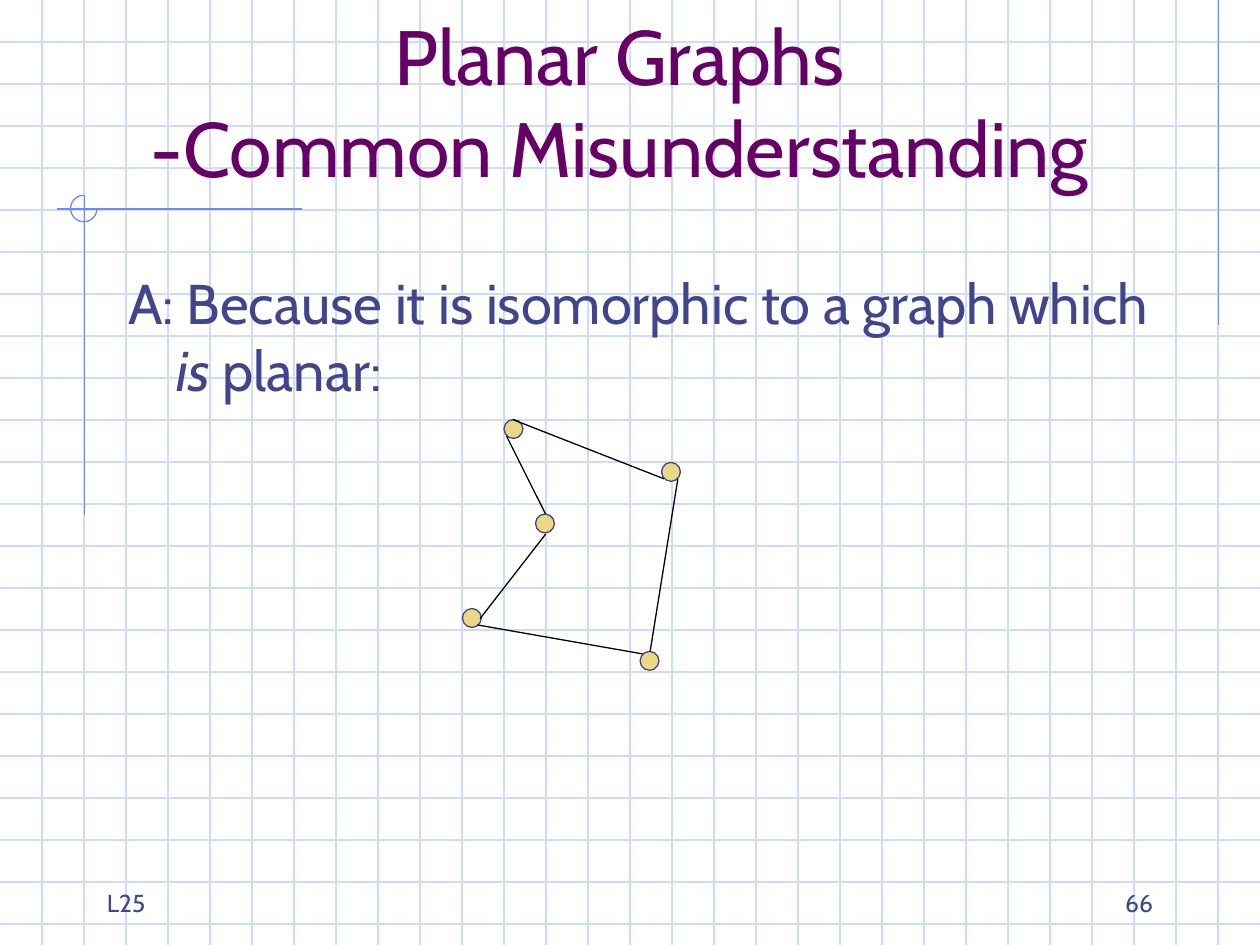
from dataclasses import dataclass

from lxml import etree
from pptx import Presentation
from pptx.dml.color import RGBColor as RGB
from pptx.enum.shapes import MSO_CONNECTOR as CONN, MSO_SHAPE as SHAPE
from pptx.enum.text import MSO_ANCHOR as ANCHOR, PP_ALIGN as ALIGN
from pptx.oxml.ns import qn
from pptx.util import Inches, Pt


@dataclass(frozen=True)
class Theme:
    font: str = "Cabin"
    title: str = "660066"
    ink: str = "40458C"
    grid: str = "CFDBFD"
    accent: str = "6F89F7"
    node: str = "ECD882"
    edge: str = "000000"
    title_size: int = 44
    body_size: int = 32
    footer_size: int = 14
    line_width: float = 0.75


class SlideBuilder:
    def __init__(self, slide, theme):
        self.s, self.theme = slide, theme

    def outline(self, sp, color):
        sp.line.color.rgb = RGB.from_string(color)
        sp.line.width = Pt(self.theme.line_width)

    def line(self, x1, y1, x2, y2, color):
        ends = [Inches(v) for v in (x1, y1, x2, y2)]
        sp = self.s.shapes.add_connector(CONN.STRAIGHT, *ends)
        self.outline(sp, color)
        etree.SubElement(sp._element.spPr, qn("a:effectLst"))

    def shape(self, kind, x, y, size, color, fill=None):
        sp = self.s.shapes.add_shape(kind, Inches(x), Inches(y), Inches(size), Inches(size))
        sp.shadow.inherit = False
        self.outline(sp, color)
        if fill:
            sp.fill.solid()
            sp.fill.fore_color.rgb = RGB.from_string(fill)
        else:
            sp.fill.background()
        return sp

    def text(self, box, lines, size, color, align=ALIGN.LEFT, anchor=ANCHOR.BOTTOM, hang=0):
        """Each line is a list of (text, format) runs; lines share one paragraph."""
        tf = self.s.shapes.add_textbox(*[Inches(v) for v in box]).text_frame
        tf.word_wrap = True
        tf.vertical_anchor = anchor
        p = tf.paragraphs[0]
        p.alignment = align
        if hang:
            pPr = p._p.get_or_add_pPr()
            pPr.set("marL", str(Inches(hang)))
            pPr.set("indent", str(-Inches(hang)))
        for i, runs in enumerate(lines):
            if i:
                p.add_line_break()
            for words, fmt in runs:
                r = p.add_run()
                r.text = words
                r.font.color.rgb = RGB.from_string(color)
                base = {"name": self.theme.font, "size": Pt(size)}
                for key, value in {**base, **fmt}.items():
                    setattr(r.font, key, value)


def main():
    prs = Presentation()
    width, height = 10, 7.5
    prs.slide_width, prs.slide_height = Inches(width), Inches(height)
    t = Theme()
    b = SlideBuilder(prs.slides.add_slide(prs.slide_layouts[6]), t)

    # Graph paper, three squares to the inch
    for i in range(1, 23):
        b.line(0, i / 3, width, i / 3, t.grid)
    for i in range(1, 30):
        b.line(i / 3, 0, i / 3, height, t.grid)

    # Accent lines and three-quarter circle
    b.line(9.67, 0, 9.67, 2.58, t.accent)
    b.line(2.4, 1.66, 0.45, 1.66, t.accent)
    b.line(0.67, 1.55, 0.67, 4.09, t.accent)
    arc = b.shape(SHAPE.ARC, 0.56, 1.55, 0.21, t.accent)
    arc.adjustments[0], arc.adjustments[1] = 0, 162  # 0 to 270 degrees

    # Title and answer
    b.text((0.67, 0.33, 8.5, 1.25),
           [[("Planar Graphs", {})], [("-Common Misunderstanding", {})]],
           t.title_size, t.title, align=ALIGN.CENTER)
    b.text((0.92, 2.08, 8.5, 4.5),
           [[("A: Because it is isomorphic to a graph which ", {}),
             ("is", {"italic": True}), (" planar:", {})]],
           t.body_size, t.ink, anchor=ANCHOR.TOP, hang=0.38)

    # Planar graph: a five-cycle
    nodes = [(3.67, 4.83), (4.25, 4.08), (4, 3.33), (5.08, 5.17), (5.25, 3.67)]
    edges = [(3.81, 4.91, 4.33, 4.24), (4.02, 3.46, 4.33, 4.08),
             (5.1, 5.19, 3.79, 4.96), (5.27, 3.8, 4.07, 3.33),
             (5.38, 3.8, 5.16, 5.17)]
    for x, y in nodes:
        b.shape(SHAPE.OVAL, x, y, 0.15, t.ink, t.node)
    for edge in edges:
        b.line(*edge, t.edge)

    # Footer
    for x, words, align in ((7.17, "66", ALIGN.RIGHT), (0.75, "L25", ALIGN.LEFT)):
        b.text((x, 6.83, 2.08, 0.5), [[(words, {})]], t.footer_size, t.ink, align=align)

    prs.save("out.pptx")


if __name__ == "__main__":
    main()
